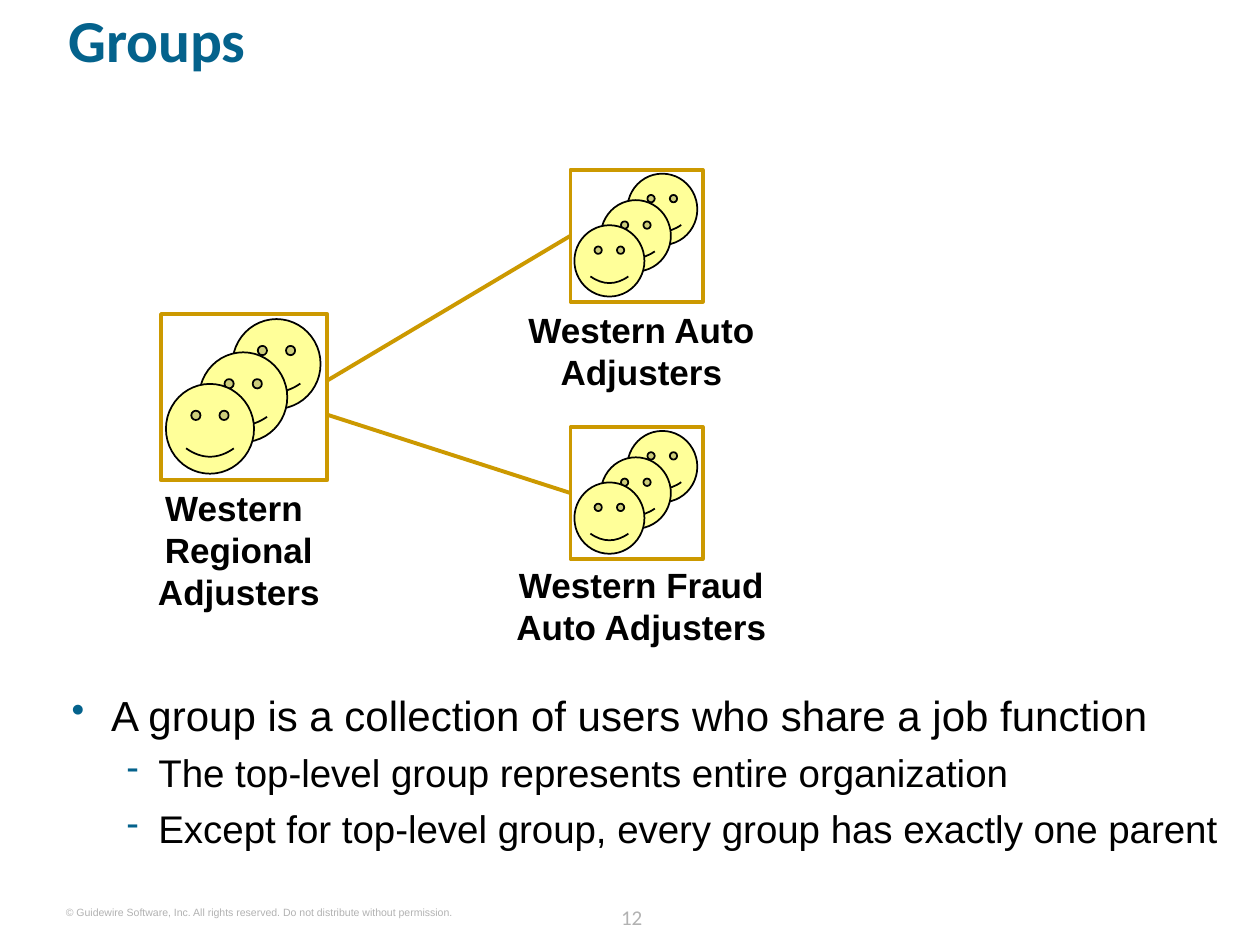
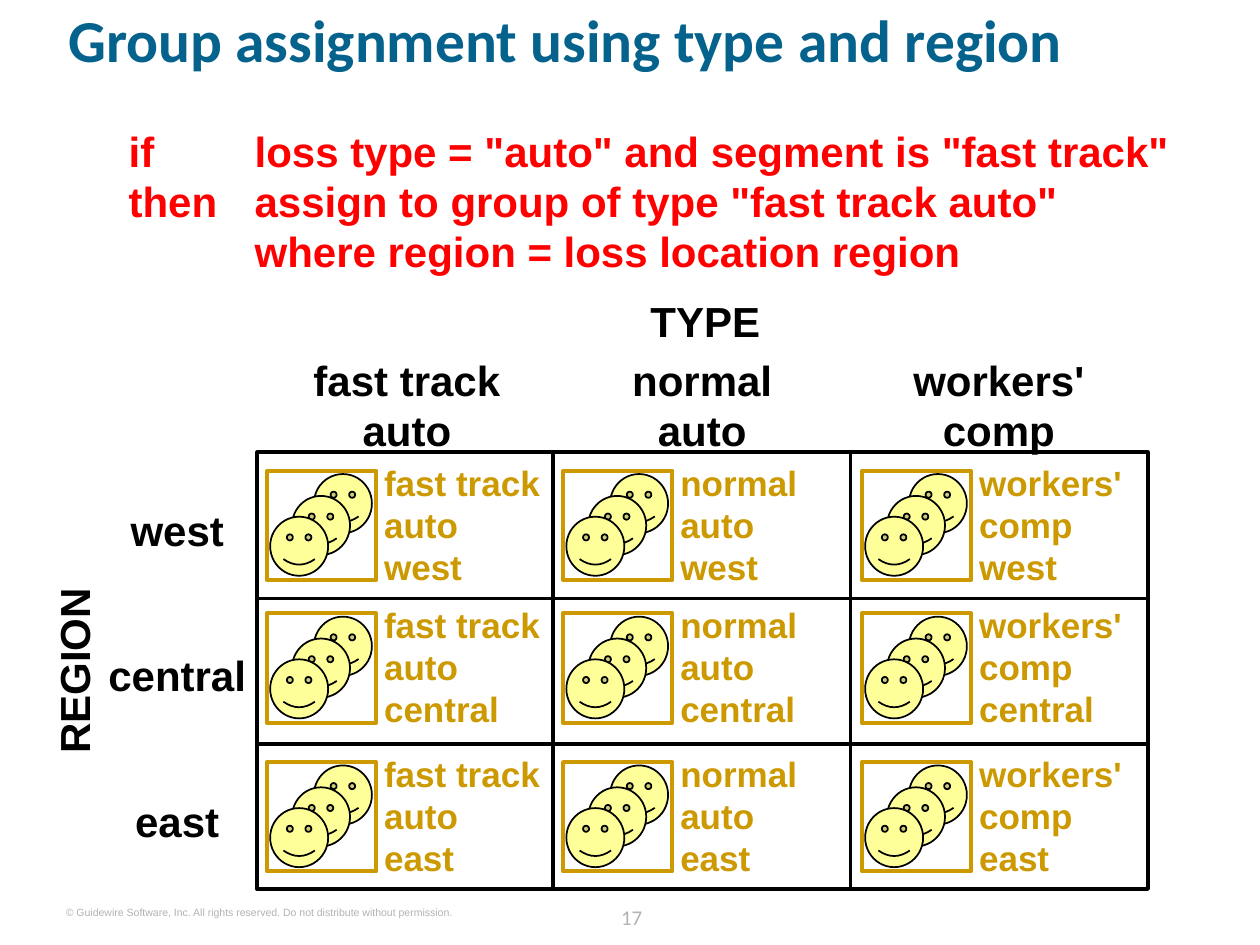
from pptx import Presentation
from pptx.dml.color import RGBColor
from pptx.enum.shapes import MSO_CONNECTOR, MSO_SHAPE
from pptx.enum.text import PP_ALIGN
from pptx.util import Pt
from lxml.etree import SubElement
from pptx.oxml.ns import qn

COLORS = {
    "title": "04628C", "footer": "B2B2B2", "text": "000000", "rule": "FF0000",
    "gold": "CC9900", "face": "FFFF99",
}
LEFT, CENTER, RIGHT = PP_ALIGN.LEFT, PP_ALIGN.CENTER, PP_ALIGN.RIGHT


def add_text(page, text, left, top, width, height, size, color="text",
             bold=True, align=CENTER, font="Arial"):
    """Add a text box without margins; every item of a list is a paragraph."""
    box = page.shapes.add_textbox(Pt(left), Pt(top), Pt(width), Pt(height))
    frame = box.text_frame
    frame.word_wrap = True
    frame.margin_left = frame.margin_right = frame.margin_top = frame.margin_bottom = 0
    for index, line in enumerate([text] if isinstance(text, str) else text):
        para = frame.add_paragraph() if index else frame.paragraphs[0]
        para.text = line
        para.alignment = align
        for span in para.runs:
            span.font.name = font
            span.font.size = Pt(size)
            span.font.bold = bold
            span.font.color.rgb = RGBColor.from_string(COLORS[color])
    return box


def add_team(page, left, top, size):
    """Add three overlapping faces in a gold frame and return the frame."""
    team = page.shapes.add_group_shape()
    for x, y in [(0.43, 0.03), (0.23, 0.23), (0.03, 0.42)]:
        face = team.shapes.add_shape(
            MSO_SHAPE.SMILEY_FACE, Pt(left + x * size), Pt(top + y * size),
            Pt(0.53 * size), Pt(0.54 * size))
        face.adjustments[0] = 0.093
        face.shadow.inherit = False
        face.fill.solid()
        face.fill.fore_color.rgb = RGBColor.from_string(COLORS["face"])
        face.line.color.rgb = RGBColor.from_string(COLORS["text"])
        face.line.width = Pt(1)
    border = team.shapes.add_shape(MSO_SHAPE.RECTANGLE, Pt(left), Pt(top), Pt(size), Pt(size))
    border.shadow.inherit = False
    border.fill.background()
    border.line.color.rgb = RGBColor.from_string(COLORS["gold"])
    border.line.width = Pt(2.25)
    return border


deck = Presentation()
deck.slide_width, deck.slide_height = Pt(720), Pt(540)

# Title and footer of every slide
pages = []
for title, number in [("Groups", "12"), ("Group assignment using type and region", "17")]:
    page = deck.slides.add_slide(deck.slide_layouts[6])
    box = add_text(page, number, 340.5, 513.5, 41, 18, 12, "footer", False, font="Calibri")
    box.text_frame.paragraphs[0].line_spacing = Pt(18)
    box = add_text(
        page, "© Guidewire Software, Inc. All rights reserved. "
        "Do not distribute without permission.",
        37.5, 517.5, 221, 7, 6, "footer", False, RIGHT)
    box.text_frame.word_wrap = False
    box = add_text(page, title, 39, 9.5, 655, 58, 34, "title", True, LEFT, "Calibri")
    box.text_frame.paragraphs[0].line_spacing = 0.8
    pages.append(page)
groups_page, matrix_page = pages

# Groups: bullets
bullets = add_text(groups_page, [
    "A group is a collection of users who share a job function",
    "The top-level group represents entire organization",
    "Except for top-level group, every group has exactly one parent",
], 41, 394, 655, 109, 22, bold=False, align=LEFT)
for index, para in enumerate(bullets.text_frame.paragraphs):
    if index:
        para.level = 1
        para.space_before = Pt(5.5)
        mark, margin, hanging = "-", 49.5, 18
    else:
        para.runs[0].font.size = Pt(24)
        mark, margin, hanging = "•", 22.5, 22.5
    props = para._p.get_or_add_pPr()
    props.set("marL", str(Pt(margin)))
    props.set("indent", str(-Pt(hanging)))
    SubElement(SubElement(props, qn("a:buClr")), qn("a:srgbClr"), val=COLORS["title"])
    SubElement(props, qn("a:buSzPct"), val="90000")
    SubElement(props, qn("a:buChar"), char=mark)

# Groups: parent team and its two child teams
add_team(groups_page, 92, 179.5, 95)
add_text(groups_page, "Western \nRegional\nAdjusters", 43, 278, 187, 72, 20)
auto_team = add_team(groups_page, 326, 97, 75.5)
add_text(groups_page, "Western Auto Adjusters", 273, 176.5, 187, 48, 20)
fraud_team = add_team(groups_page, 326, 244, 75.5)
add_text(groups_page, "Western Fraud Auto Adjusters", 273, 322, 187, 48, 20)

# Matrix: assignment rule
rule = add_text(
    matrix_page,
    "if \tloss type = \"auto\" and segment is \"fast track\"\n"
    "then\tassign to group of type \"fast track auto\"\n"
    "\twhere region = loss location region",
    73.5, 71.5, 603, 86.5, 24, "rule", align=LEFT)
tabs = SubElement(rule.text_frame.paragraphs[0]._p.get_or_add_pPr(), qn("a:tabLst"))
SubElement(tabs, qn("a:tab"), pos=str(Pt(72)), algn="l")

# Matrix: outer frame and axis names
grid = matrix_page.shapes.add_shape(MSO_SHAPE.RECTANGLE, Pt(147), Pt(258.5), Pt(509), Pt(249.5))
grid.shadow.inherit = False
grid.fill.background()
grid.line.color.rgb = RGBColor.from_string(COLORS["text"])
grid.line.width = Pt(2.25)
add_text(matrix_page, "TYPE", 338.5, 169, 129, 29, 24)
add_text(matrix_page, "REGION", -22.5, 369, 129, 29, 24).rotation = 270

# Matrix: column heads, row heads and cells
types = [  # head, cell label, head left, head width, team left
    ("fast track\nauto", "fast track auto", 167.5, 130, 152.5),
    ("normal\nauto", "normal auto", 348, 106.5, 321.75),
    ("workers'\ncomp", "workers'\ncomp", 517.5, 106.5, 492.5),
]
regions = [("west", 269), ("central", 350.5), ("east", 435.5)]
for head, label, head_left, head_width, team_left in types:
    add_text(matrix_page, head, head_left, 202.5, head_width, 57.5, 24)
for row, (region, team_top) in enumerate(regions):
    add_text(matrix_page, region, 48, 288 + 83.25 * row, 106.5, 29, 24)
    for head, label, head_left, head_width, team_left in types:
        add_team(matrix_page, team_left, team_top, 62.5)
        add_text(matrix_page, f"{label}\n{region}", team_left + 67, team_top - 5.5,
                 92, 72, 20, "gold", align=LEFT)

# Lines: team tree and matrix grid
lines = [  # page, color, start, end, team at the end
    (groups_page, "gold", (187, 217.5), (326, 134.75), auto_team),
    (groups_page, "gold", (187, 237), (326, 281.75), fraud_team),
    (matrix_page, "text", (316, 258.5), (316, 508), None),
    (matrix_page, "text", (486, 257), (486, 507), None),
    (matrix_page, "text", (145.5, 342), (656, 342), None),
    (matrix_page, "text", (146.5, 425), (657, 425), None),
]
for page, color, start, end, team in lines:
    line = page.shapes.add_connector(
        MSO_CONNECTOR.STRAIGHT, Pt(start[0]), Pt(start[1]), Pt(end[0]), Pt(end[1]))
    if team is not None:
        line.end_connect(team, 1)
    line.line.color.rgb = RGBColor.from_string(COLORS[color])
    line.line.width = Pt(2.25)
    SubElement(line._element.spPr, qn("a:effectLst"))

deck.save("out.pptx")
